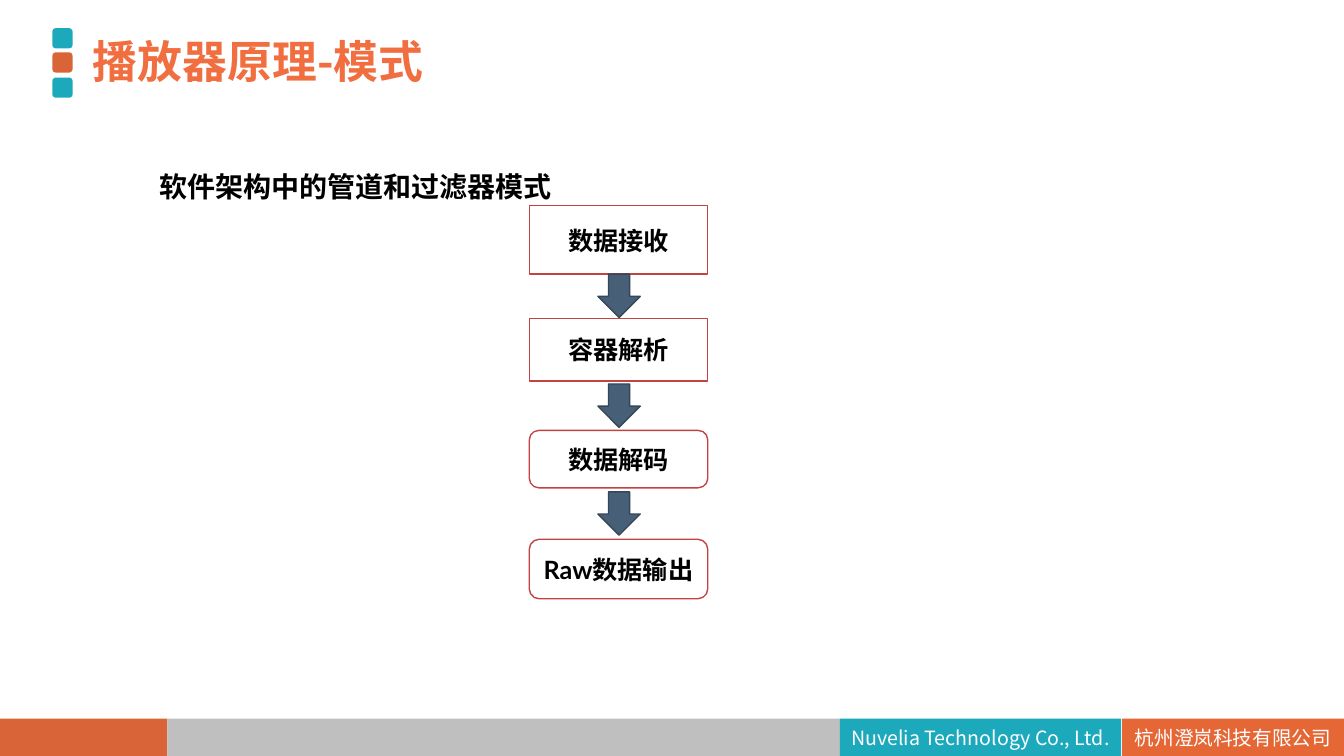
from lxml import etree
from pptx import Presentation
from pptx import util as u
from pptx.dml.color import RGBColor
from pptx.enum import shapes, text
from pptx.oxml.ns import qn

TEAL = RGBColor(0x1C, 0xA9, 0xBC)
RUST = RGBColor(0xD9, 0x64, 0x37)
ORANGE = RGBColor(0xE4, 0x67, 0x35)
CORAL = RGBColor(0xF1, 0x6E, 0x40)
GREY = RGBColor(0xBF, 0xBF, 0xBF)
SLATE = RGBColor(0x47, 0x5F, 0x77)
SLATE_EDGE = RGBColor(0x35, 0x46, 0x58)
RED = RGBColor(0xC3, 0x43, 0x43)
BLACK = RGBColor(0, 0, 0)
WHITE = RGBColor(0xFF, 0xFF, 0xFF)

LATIN, CJK = "Lato", "Noto Sans CJK SC"
RECT = shapes.MSO_SHAPE.RECTANGLE
ROUND = shapes.MSO_SHAPE.ROUNDED_RECTANGLE
ARROW = shapes.MSO_SHAPE.DOWN_ARROW


class SlideBuilder:
    """Holds the text style and the page being built."""

    def __init__(self, page):
        self.page = page

    def label(self, box, words, size, color, font=LATIN, bold=False,
              align=text.PP_ALIGN.CENTER, anchor=text.MSO_ANCHOR.MIDDLE):
        frame = box.text_frame
        frame.word_wrap = True
        frame.auto_size = text.MSO_AUTO_SIZE.NONE
        frame.vertical_anchor = anchor
        para = frame.paragraphs[0]
        para.text = words
        para.alignment = align
        para.font.name, para.font.size = font, u.Pt(size)
        para.font.bold, para.font.color.rgb = bold, color
        return para

    def place(self, box, left, top, width, height):
        box.left, box.top = u.Inches(left), u.Inches(top)
        box.width, box.height = u.Inches(width), u.Inches(height)

    def title(self, words, *area):
        box = self.page.shapes.title
        self.place(box, *area)
        para = self.label(box, words, 32, CORAL, CJK, True, text.PP_ALIGN.LEFT)
        para.line_spacing = 0.9

    def body(self, words, *area):
        box = self.page.placeholders[1]
        self.place(box, *area)
        props = box.text_frame.paragraphs[0]._p.get_or_add_pPr()
        props.set("marL", "0")
        props.set("indent", "0")
        etree.SubElement(props, qn("a:buNone"))
        para = self.label(box, words, 20, BLACK, LATIN, True,
                          text.PP_ALIGN.LEFT, text.MSO_ANCHOR.TOP)
        para.line_spacing = 1.25
        para.space_before = u.Pt(0)

    def shape(self, kind, left, top, width, height, fill, edge=None):
        box = self.page.shapes.add_shape(kind, *map(u.Inches, (left, top, width, height)))
        box.shadow.inherit = False
        box.fill.solid()
        box.fill.fore_color.rgb = fill
        if edge is None:
            box.line.fill.background()
        else:
            box.line.color.rgb = edge
            box.line.width = u.Pt(1)
        return box

    def footer_bar(self, left, width, fill, words="", font=LATIN):
        bar = self.shape(RECT, left, 7.13, width, 0.37, fill)
        if words:
            self.label(bar, words, 14, WHITE, font)

    def step(self, kind, top, height, words):
        box = self.shape(kind, 5.25, top, 1.77, height, WHITE, RED)
        self.label(box, words, 18, BLACK, bold=True)


def main():
    deck = Presentation()
    deck.slide_width, deck.slide_height = u.Inches(13.33), u.Inches(7.5)
    slide = SlideBuilder(deck.slides.add_slide(deck.slide_layouts[1]))

    slide.footer_bar(0, 1.66, RUST)
    slide.footer_bar(1.66, 6.67, GREY)
    slide.footer_bar(8.33, 2.79, TEAL, "Nuvelia Technology Co., Ltd.", CJK)
    slide.footer_bar(11.13, 2.2, ORANGE, "杭州澄岚科技有限公司")

    for top, color in ((0.28, TEAL), (0.52, RUST), (0.77, TEAL)):
        slide.shape(ROUND, 0.52, top, 0.2, 0.2, color)
    slide.title("播放器原理-模式", 0.82, 0.3, 7.97, 0.66)
    slide.body("软件架构中的管道和过滤器模式", 1.48, 1.55, 9.75, 4.81)

    steps = ((RECT, 2.04, 0.68, "数据接收"), (RECT, 3.16, 0.62, "容器解析"),
             (ROUND, 4.27, 0.57, "数据解码"), (ROUND, 5.35, 0.59, "Raw数据输出"))
    for step in steps:
        slide.step(*step)
    for top in (2.72, 3.81, 4.88):
        slide.shape(ARROW, 5.93, top, 0.42, 0.43, SLATE, SLATE_EDGE)

    deck.save("out.pptx")


if __name__ == "__main__":
    main()
